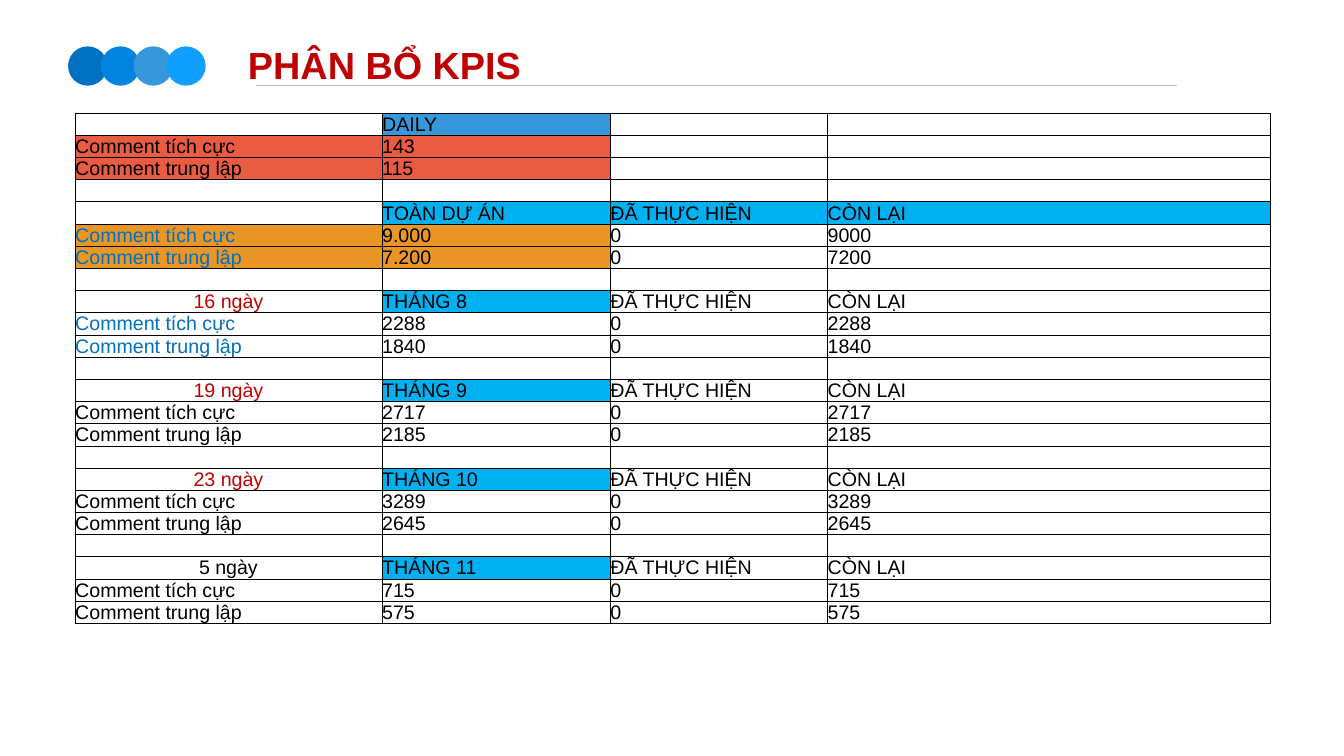
from lxml import etree
from pptx import Presentation
from pptx.dml.color import RGBColor
from pptx.enum.shapes import MSO_CONNECTOR, MSO_SHAPE
from pptx.enum.text import MSO_ANCHOR, PP_ALIGN
from pptx.oxml.ns import qn
from pptx.util import Pt

OVAL, STRAIGHT = MSO_SHAPE.OVAL, MSO_CONNECTOR.STRAIGHT
LEFT, CENTER = PP_ALIGN.LEFT, PP_ALIGN.CENTER
MIDDLE, BOTTOM = MSO_ANCHOR.MIDDLE, MSO_ANCHOR.BOTTOM

FONT = "Arial"
COLORS = {
    "black": "000000", "red": "C00000", "blue": "0070C0", "azure": "0084DF",
    "steel": "3698DA", "bright": "119FFF", "rule": "ACC0D4",
    "coral": "EA5C42", "cyan": "00B0F0", "orange": "E99627",
}

TITLE = "PHÂN BỔ KPIS"
DOTS = ["blue", "azure", "steel", "bright"]
LABELS = ["Comment tích cực", "Comment trung lập"]
PROGRESS = ["ĐÃ THỰC HIỆN", "CÒN LẠI"]
# Each block: header cells, one list of values per label, then its colours;
# "head_fills" starts at the second column, "body_fill" covers label and value.
BLOCKS = [
    {"head": ["", "DAILY"], "values": [["143"], ["115"]],
     "head_fills": ["steel"], "body_fill": "coral"},
    {"head": ["", "TOÀN DỰ ÁN"] + PROGRESS,
     "values": [["9.000", "0", "9000"], ["7.200", "0", "7200"]],
     "head_fills": ["cyan"] * 3, "body_fill": "orange", "label_color": "blue"},
    {"head": ["16 ngày", "THÁNG 8"] + PROGRESS,
     "values": [["2288", "0", "2288"], ["1840", "0", "1840"]],
     "days_color": "red", "label_color": "blue"},
    {"head": ["19 ngày", "THÁNG 9"] + PROGRESS,
     "values": [["2717", "0", "2717"], ["2185", "0", "2185"]],
     "days_color": "red"},
    {"head": ["23 ngày", "THÁNG 10"] + PROGRESS,
     "values": [["3289", "0", "3289"], ["2645", "0", "2645"]],
     "days_color": "red"},
    {"head": ["5 ngày", "THÁNG 11"] + PROGRESS,
     "values": [["715", "0", "715"], ["575", "0", "575"]]},
]
COL_WIDTHS = [438.5, 326, 310.5, 633]
ROW_HEIGHT = 31.7
BLOCK_ROWS = 1 + len(LABELS) + 1  # header, labels, spacer


def rgb(name):
    """Return the named colour."""
    return RGBColor.from_string(COLORS[name])


def write(tf, text, size=28, color="black", bold=False, align=LEFT, spacing=0.9):
    """Put formatted text in the first paragraph of a text frame."""
    p = tf.paragraphs[0]
    p.alignment = align
    p.line_spacing = spacing
    r = p.add_run()
    r.text = text
    r.font.name, r.font.size, r.font.bold = FONT, Pt(size), bold
    r.font.color.rgb = rgb(color)


def set_insets(box, left, top, right, bottom):
    """Set the inner margins of a cell or text frame."""
    box.margin_left, box.margin_top = Pt(left), Pt(top)
    box.margin_right, box.margin_bottom = Pt(right), Pt(bottom)


def add_borders(cell):
    """Draw a thin black line on all four sides of a cell."""
    tcPr = cell._tc.get_or_add_tcPr()
    for i, side in enumerate(("a:lnL", "a:lnR", "a:lnT", "a:lnB")):
        ln = etree.Element(qn(side), w=str(Pt(1)))
        fill = etree.SubElement(ln, qn("a:solidFill"))
        etree.SubElement(fill, qn("a:srgbClr"), val=COLORS["black"])
        tcPr.insert(i, ln)


def fill_cell(cell, text="", fill=None, **fmt):
    """Give a cell its fill, borders and text."""
    cell.vertical_anchor = BOTTOM
    set_insets(cell, 0.5, 0.4, 0.5, 0)
    if fill:
        cell.fill.solid()
        cell.fill.fore_color.rgb = rgb(fill)
    else:
        cell.fill.background()
    add_borders(cell)
    if text:
        write(cell.text_frame, text, **fmt)


def block_cells(block):
    """Return {(row, column): cell arguments} for one block."""
    cells = {}
    fills = [None] + block.get("head_fills", ["cyan"])
    for col, text in enumerate(block["head"]):
        cells[0, col] = {"text": text, "fill": fills[col] if col < len(fills) else None}
    cells[0, 0].update(color=block.get("days_color", "black"), align=CENTER)
    for row, (label, values) in enumerate(zip(LABELS, block["values"]), 1):
        for col, text in enumerate([label] + values):
            cells[row, col] = {"text": text,
                               "fill": block.get("body_fill") if col < 2 else None}
        cells[row, 0]["color"] = block.get("label_color", "black")
    return cells


def add_heading(slide):
    """Draw the row of dots, the rule and the title."""
    for i, color in enumerate(DOTS):
        sp = slide.shapes.add_shape(OVAL, Pt(97.2 + 46.8 * i), Pt(66.2), Pt(56.2), Pt(56.2))
        sp.shadow.inherit = False
        sp.fill.solid()
        sp.fill.fore_color.rgb = rgb(color)
        sp.line.fill.background()
    rule = slide.shapes.add_connector(STRAIGHT, Pt(366), Pt(122.4), Pt(1681), Pt(122.4))
    rule.line.color.rgb = rgb("rule")
    rule.line.width = Pt(2)
    etree.SubElement(rule._element.spPr, qn("a:effectLst"))
    tf = slide.shapes.add_textbox(Pt(350), Pt(52), Pt(1449.4), Pt(89.3)).text_frame
    tf.word_wrap = True
    tf.vertical_anchor = MIDDLE
    set_insets(tf, 4.3, 4.3, 4.3, 4.3)
    write(tf, TITLE, size=54, color="red", bold=True)


def add_kpi_table(slide):
    """Build the table, with a spacer row between blocks."""
    rows, cols = BLOCK_ROWS * len(BLOCKS) - 1, len(COL_WIDTHS)
    table = slide.shapes.add_table(rows, cols, Pt(107), Pt(161.5), Pt(sum(COL_WIDTHS)),
                                   Pt(rows * ROW_HEIGHT)).table
    table.first_row = table.horz_banding = False
    for column, width in zip(table.columns, COL_WIDTHS):
        column.width = Pt(width)
    for row in table.rows:
        row.height = Pt(ROW_HEIGHT)
    blocks = [block_cells(block) for block in BLOCKS]
    for row in range(rows):
        index, inner = divmod(row, BLOCK_ROWS)
        for col in range(cols):
            fill_cell(table.cell(row, col), **blocks[index].get((inner, col), {}))


prs = Presentation()
prs.slide_width, prs.slide_height = Pt(1920), Pt(1080)
slide = prs.slides.add_slide(prs.slide_layouts[6])
add_heading(slide)
add_kpi_table(slide)
prs.save("out.pptx")
